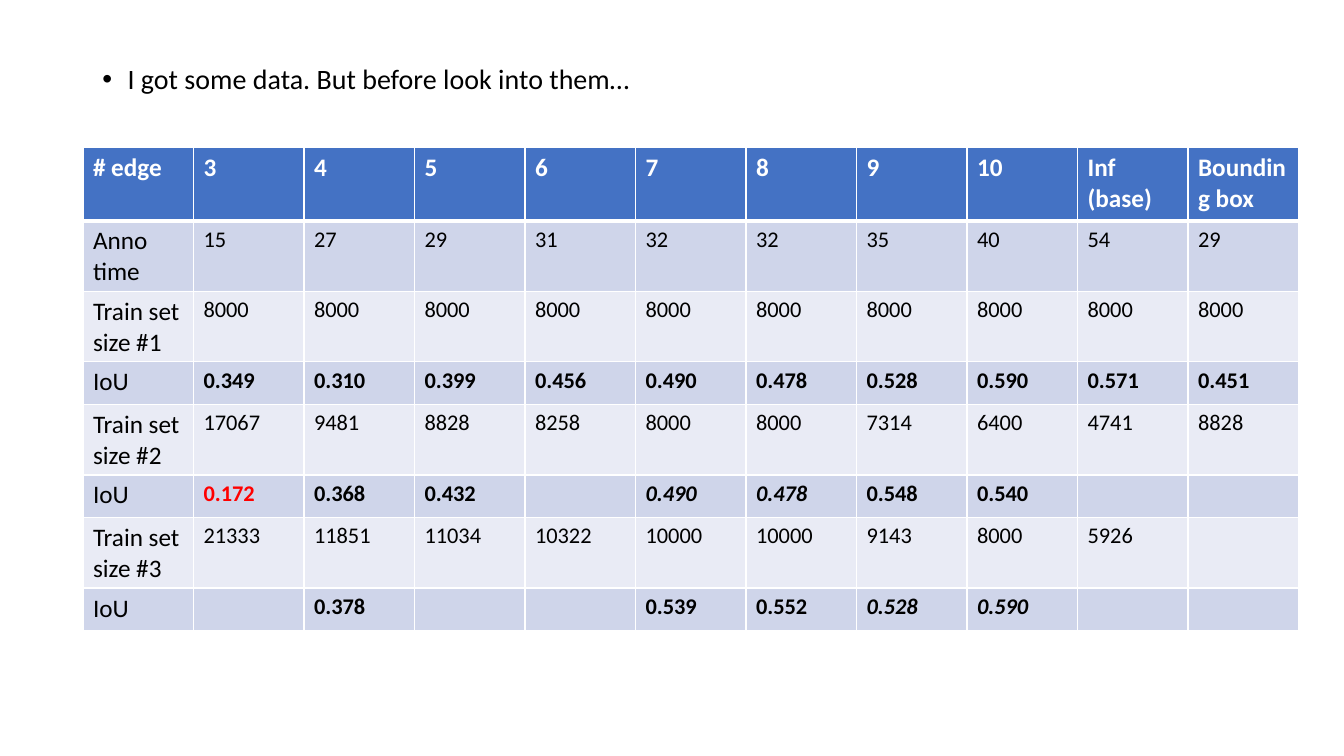
from lxml import etree
from pptx import Presentation
from pptx.dml.color import RGBColor
from pptx.oxml import ns
from pptx.util import Cm, Pt

# Content: "!" marks a red value, "*" an italic one
HEADLINE = "I got some data. But before look into them…"
HEADER = ["# edge", "3", "4", "5", "6", "7", "8", "9", "10", "Inf (base)", "Bounding box"]
ROWS = [
    ["Anno time", "15", "27", "29", "31", "32", "32", "35", "40", "54", "29"],
    ["Train set size #1"] + ["8000"] * 10,
    ["IoU", "0.349", "0.310", "0.399", "0.456", "0.490", "0.478", "0.528", "0.590", "0.571", "0.451"],
    ["Train set size #2", "17067", "9481", "8828", "8258", "8000", "8000", "7314", "6400", "4741", "8828"],
    ["IoU", "!0.172", "0.368", "0.432", "", "*0.490", "*0.478", "0.548", "0.540", "", ""],
    ["Train set size #3", "21333", "11851", "11034", "10322", "10000", "10000", "9143", "8000", "5926", ""],
    ["IoU", "", "0.378", "", "", "0.539", "0.552", "*0.528", "*0.590", "", ""],
]

# Style
FONT = "Calibri"
WHITE, BLACK, RED = "FFFFFF", "000000", "FF0000"
HEADER_FILL, BANDS = "4472C4", ("CFD5EA", "E9EBF5")
TABLE_LEFT, TABLE_TOP, TABLE_WIDTH, TABLE_HEIGHT = Cm(2.09), Cm(3.72), Cm(30.64), Cm(12.2)
HEADER_HEIGHT, ROW_HEIGHT = Cm(1.84), Cm(1.07)


def color(value):
    return RGBColor.from_string(value)


def add_run(paragraph, text, size, text_color, bold=False, italic=False):
    run = paragraph.add_run()
    run.text = text
    font = run.font
    font.name, font.size, font.bold, font.italic = FONT, Pt(size), bold, italic
    font.color.rgb = color(text_color)


def add_borders(cell, widths):
    properties = cell._tc.get_or_add_tcPr()
    for side, width in widths.items():
        line = etree.SubElement(properties, ns.qn(f"a:ln{side}"), w=str(Pt(width)))
        fill = etree.SubElement(line, ns.qn("a:solidFill"))
        etree.SubElement(fill, ns.qn("a:srgbClr"), val=WHITE)


def fill_cell(cell, text, row, column):
    is_header = row == 0
    add_borders(cell, {"L": 1, "R": 1, "T": 3 if row == 1 else 1, "B": 3 if is_header else 1})
    cell.fill.solid()
    cell.fill.fore_color.rgb = color(HEADER_FILL if is_header else BANDS[(row - 1) % 2])
    if text:
        is_score = column > 0 and "." in text
        text_color = WHITE if is_header else RED if text.startswith("!") else BLACK
        add_run(cell.text_frame.paragraphs[0], text.lstrip("!*"),
                18 if is_header or column == 0 else 16, text_color,
                bold=is_header or is_score, italic=text.startswith("*"))


def add_headline(slide):
    box = slide.shapes.add_textbox(Cm(2.33), Cm(1.52), Cm(29.21), Cm(15.65))
    box.text_frame.word_wrap = True
    paragraph = box.text_frame.paragraphs[0]
    paragraph.line_spacing = 0.9
    paragraph.space_before = Pt(10)
    properties = paragraph._p.get_or_add_pPr()
    properties.set("marL", str(Pt(18)))
    properties.set("indent", str(-Pt(18)))
    etree.SubElement(properties, ns.qn("a:buFont"), typeface="Arial")
    etree.SubElement(properties, ns.qn("a:buChar"), char="•")
    add_run(paragraph, HEADLINE, 20, BLACK)


def add_results(slide):
    grid = [HEADER] + ROWS
    frame = slide.shapes.add_table(len(grid), len(HEADER), TABLE_LEFT, TABLE_TOP,
                                   TABLE_WIDTH, TABLE_HEIGHT)
    table = frame.table
    for row, values in enumerate(grid):
        table.rows[row].height = ROW_HEIGHT if row else HEADER_HEIGHT
        for column, text in enumerate(values):
            fill_cell(table.cell(row, column), text, row, column)
    # Rows with two-line labels grow to fill the frame
    frame.height = TABLE_HEIGHT


def main():
    presentation = Presentation()
    presentation.slide_width, presentation.slide_height = Cm(33.87), Cm(19.05)
    slide = presentation.slides.add_slide(presentation.slide_layouts[6])
    add_headline(slide)
    add_results(slide)
    presentation.save("out.pptx")


if __name__ == "__main__":
    main()
